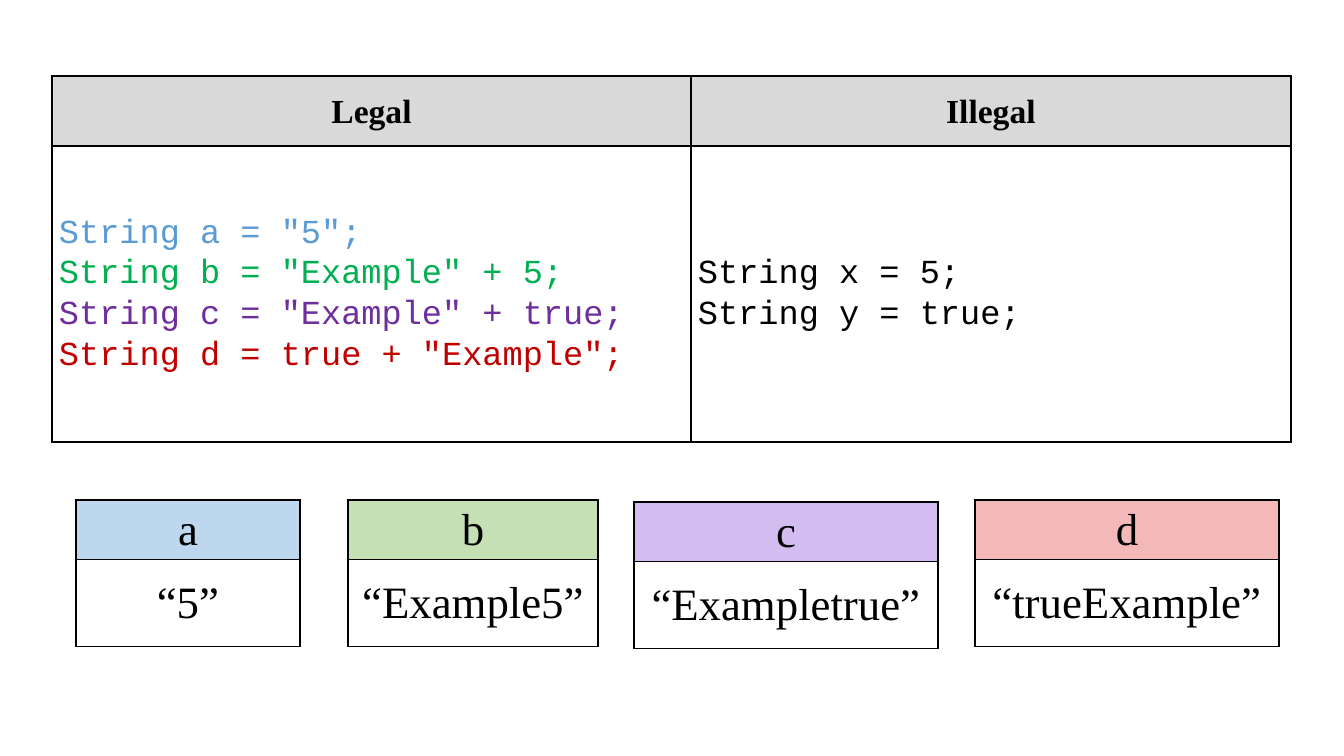
from lxml import etree
from pptx import Presentation
from pptx.dml.color import RGBColor
from pptx.enum.text import MSO_ANCHOR, PP_ALIGN
from pptx.oxml.ns import qn
from pptx.util import Pt

LEFT, CENTER = PP_ALIGN.LEFT, PP_ALIGN.CENTER
MIDDLE = MSO_ANCHOR.MIDDLE
SERIF, MONO = "Times New Roman", "Courier New"

BLACK = RGBColor(0x00, 0x00, 0x00)
GRAY = RGBColor(0xD9, 0xD9, 0xD9)
BLUE = RGBColor(0x5B, 0x9B, 0xD5)
GREEN = RGBColor(0x00, 0xB0, 0x50)
PURPLE = RGBColor(0x6E, 0x2F, 0x9D)
RED = RGBColor(0xC0, 0x00, 0x00)
PALE_BLUE = RGBColor(0xBD, 0xD7, 0xEE)
PALE_GREEN = RGBColor(0xC5, 0xE0, 0xB4)
PALE_PURPLE = RGBColor(0xD2, 0xBC, 0xF0)
PALE_RED = RGBColor(0xF3, 0xB9, 0xB9)

# Heading, then code lines with their colours
CODE_COLUMNS = [
    ("Legal", [
        ('String a = "5";', BLUE),
        ('String b = "Example" + 5;', GREEN),
        ('String c = "Example" + true;', PURPLE),
        ('String d = true + "Example";', RED),
    ]),
    ("Illegal", [
        ("String x = 5;", BLACK),
        ("String y = true;", BLACK),
    ]),
]
# Variable, value, header fill, left, top, width
VARIABLES = [
    ("a", "“5”", PALE_BLUE, 76, 500, 224),
    ("b", "“Example5”", PALE_GREEN, 348, 500, 250),
    ("c", "“Exampletrue”", PALE_PURPLE, 634, 502, 304),
    ("d", "“trueExample”", PALE_RED, 975, 500, 304),
]
CODE_COLS, CODE_ROWS = [639, 600], [70, 296]
VARIABLE_ROWS = [48, 87]


def px(n):
    return round(n * 914400 / 100.8)


def add_grid(s, left, top, col_widths, row_heights):
    """Add a plain table with no banding or header style."""
    frame = s.shapes.add_table(len(row_heights), len(col_widths), px(left), px(top),
                               px(sum(col_widths)), px(sum(row_heights)))
    table = frame.table
    table.first_row = table.horz_banding = False
    for col, width in zip(table.columns, col_widths):
        col.width = px(width)
    for row, height in zip(table.rows, row_heights):
        row.height = px(height)
    return table


def add_borders(cell):
    tc_pr = cell._tc.get_or_add_tcPr()
    for side in ("a:lnL", "a:lnR", "a:lnT", "a:lnB"):
        ln = etree.SubElement(tc_pr, qn(side), w=str(Pt(1)))
        fill = etree.SubElement(ln, qn("a:solidFill"))
        etree.SubElement(fill, qn("a:srgbClr"), val=str(BLACK))


def fill_cell(cell, lines, font, size, align=CENTER, fill=None, bold=False):
    """Write (text, colour) lines into a bordered cell."""
    add_borders(cell)
    if fill is None:
        cell.fill.background()
    else:
        cell.fill.solid()
        cell.fill.fore_color.rgb = fill
    cell.vertical_anchor = MIDDLE
    tf = cell.text_frame
    tf.text = "\n".join(text for text, _ in lines)
    for p, (_, color) in zip(tf.paragraphs, lines):
        p.alignment = align
        f = p.runs[0].font
        f.name, f.size, f.bold = font, Pt(size), bold
        f.color.rgb = color


def add_code_table(s):
    table = add_grid(s, 52, 76, CODE_COLS, CODE_ROWS)
    for i, (heading, code) in enumerate(CODE_COLUMNS):
        head, body = table.cell(0, i), table.cell(1, i)
        fill_cell(head, [(heading, BLACK)], SERIF, 24, fill=GRAY, bold=True)
        fill_cell(body, code, MONO, 24, align=LEFT)
        for cell in (head, body):
            cell.margin_left = cell.margin_right = px(7)
            cell.margin_top = cell.margin_bottom = 0
            for p in cell.text_frame.paragraphs:
                p.line_spacing = 1.07


def add_variable(s, name, value, fill, left, top, width):
    table = add_grid(s, left, top, [width], VARIABLE_ROWS)
    fill_cell(table.cell(0, 0), [(name, BLACK)], SERIF, 32, fill=fill)
    fill_cell(table.cell(1, 0), [(value, BLACK)], SERIF, 32)


def main():
    prs = Presentation()
    prs.slide_width, prs.slide_height = px(1344), px(756)
    s = prs.slides.add_slide(prs.slide_layouts[6])
    add_code_table(s)
    for variable in VARIABLES:
        add_variable(s, *variable)
    prs.save("out.pptx")


if __name__ == "__main__":
    main()
